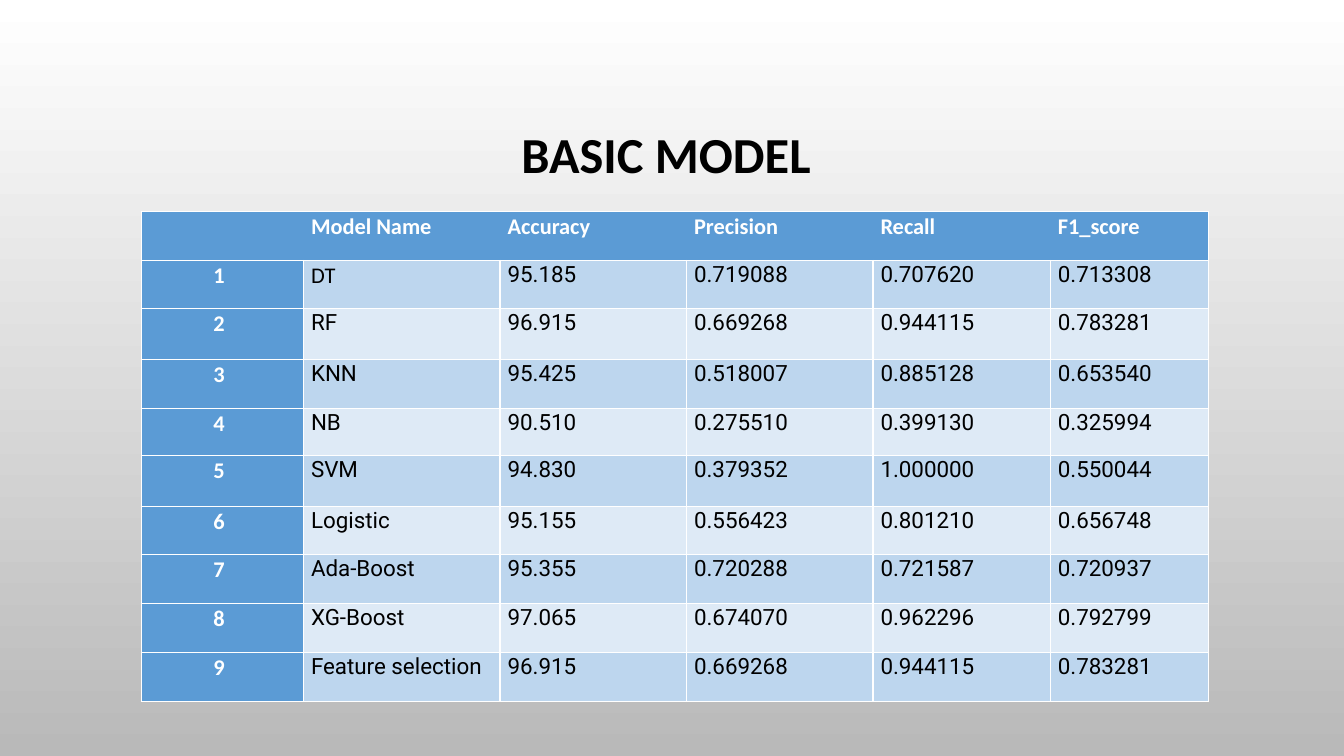
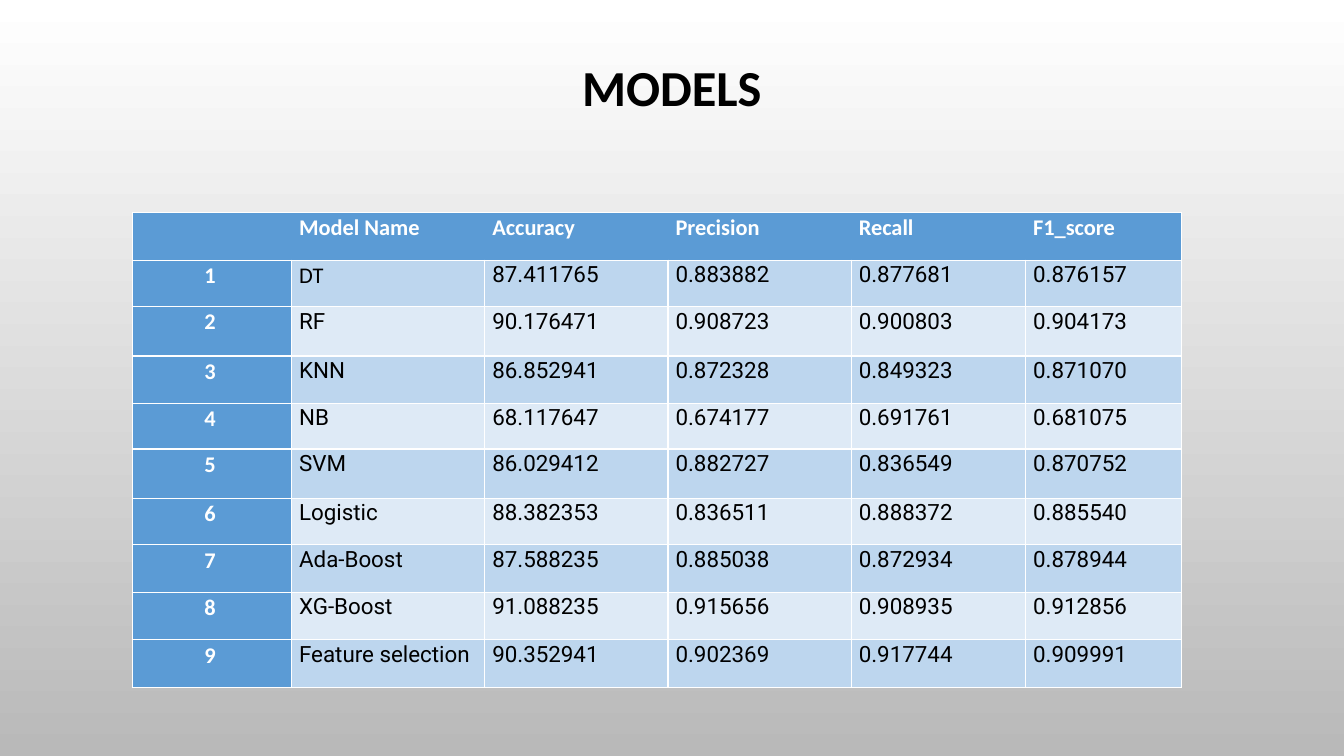
from lxml import etree
from pptx import Presentation
from pptx.dml.color import RGBColor
from pptx.enum import text
from pptx.oxml import ns
from pptx.util import Cm, Pt

WHITE, BLACK, GREY = "FFFFFF", "000000", "B9B9B9"
BLUE, BAND_DARK, BAND_LIGHT = "5B9BD5", "BDD6EE", "DEEAF6"
HEADING_FONT, VALUE_FONT = "Calibri", "Roboto"

COLUMN_SHARES = [161, 195, 185, 185, 176, 157]
ROW_SHARES = [49, 48, 51, 49, 47, 51, 48, 49, 49, 49]
HEADINGS = ["", "Model Name", "Accuracy", "Precision", "Recall", "F1_score"]
MODELS = ["DT", "RF", "KNN", "NB", "SVM", "Logistic", "Ada-Boost", "XG-Boost",
          "Feature selection"]

BASIC_SCORES = [
    ("95.185", "0.719088", "0.707620", "0.713308"),
    ("96.915", "0.669268", "0.944115", "0.783281"),
    ("95.425", "0.518007", "0.885128", "0.653540"),
    ("90.510", "0.275510", "0.399130", "0.325994"),
    ("94.830", "0.379352", "1.000000", "0.550044"),
    ("95.155", "0.556423", "0.801210", "0.656748"),
    ("95.355", "0.720288", "0.721587", "0.720937"),
    ("97.065", "0.674070", "0.962296", "0.792799"),
    ("96.915", "0.669268", "0.944115", "0.783281"),
]
MODEL_SCORES = [
    ("87.411765", "0.883882", "0.877681", "0.876157"),
    ("90.176471", "0.908723", "0.900803", "0.904173"),
    ("86.852941", "0.872328", "0.849323", "0.871070"),
    ("68.117647", "0.674177", "0.691761", "0.681075"),
    ("86.029412", "0.882727", "0.836549", "0.870752"),
    ("88.382353", "0.836511", "0.888372", "0.885540"),
    ("87.588235", "0.885038", "0.872934", "0.878944"),
    ("91.088235", "0.915656", "0.908935", "0.912856"),
    ("90.352941", "0.902369", "0.917744", "0.909991"),
]


def color(hex_code):
    return RGBColor.from_string(hex_code)


def style_runs(paragraph, font_name, size, hex_code, bold):
    for run in paragraph.runs:
        run.font.name = font_name
        run.font.size = Pt(size)
        run.font.color.rgb = color(hex_code)
        run.font.bold = bold


def paint_background(master):
    fill = master.background.fill
    fill.gradient()
    fill.gradient_angle = 270
    for stop, hex_code in zip(fill.gradient_stops, (WHITE, GREY)):
        stop.color.rgb = color(hex_code)


def add_title(slide, wording, box):
    title = slide.shapes.title
    title.left, title.top, title.width, title.height = map(Cm, box)
    frame = title.text_frame
    frame.text = wording
    frame.auto_size = text.MSO_AUTO_SIZE.NONE
    frame.vertical_anchor = text.MSO_ANCHOR.MIDDLE
    heading = frame.paragraphs[0]
    heading.alignment = text.PP_ALIGN.CENTER
    heading.line_spacing = 0.9
    style_runs(heading, HEADING_FONT, 36, BLACK, True)


def set_borders(cell, visible):
    """Draw white lines on the visible sides (letters of LRTB), none elsewhere."""
    properties = cell._tc.get_or_add_tcPr()
    for side in "LRTB":
        line = etree.SubElement(properties, ns.qn(f"a:ln{side}"), w=str(Pt(1)))
        if side in visible:
            solid = etree.SubElement(line, ns.qn("a:solidFill"))
            etree.SubElement(solid, ns.qn("a:srgbClr"), val=WHITE)
        else:
            etree.SubElement(line, ns.qn("a:noFill"))


def fill_cell(cell, wording, row, column):
    is_heading = row == 0 or column == 0
    if row == 0:
        last = len(HEADINGS) - 1
        set_borders(cell, "TB" + {0: "L", last: "R"}.get(column, ""))
    else:
        set_borders(cell, "LRTB")
    cell.fill.solid()
    band = BAND_DARK if row % 2 else BAND_LIGHT
    cell.fill.fore_color.rgb = color(BLUE if is_heading else band)

    cell.margin_left = Cm(1.82 if column == 0 else 0.19)
    cell.margin_right = Cm(0.19)
    cell.margin_top = cell.margin_bottom = 0
    cell.text_frame.text = wording
    paragraph = cell.text_frame.paragraphs[0]
    paragraph.line_spacing = 1.07
    paragraph.space_after = Pt(8)
    font_name = HEADING_FONT if is_heading or wording == "DT" else VALUE_FONT
    style_runs(paragraph, font_name, 16, WHITE if is_heading else BLACK, is_heading)


def share_out(tracks, shares, total):
    """Size columns or rows in proportion to their shares of the total."""
    sizes = [Cm(total * share / sum(shares)) for share in shares]
    for track, size in zip(tracks, sizes):
        if shares is COLUMN_SHARES:
            track.width = size
        else:
            track.height = size


def add_score_table(slide, scores, box):
    rows = [HEADINGS] + [
        [str(number), model, *values]
        for number, (model, values) in enumerate(zip(MODELS, scores), 1)
    ]
    table = slide.shapes.add_table(len(rows), len(HEADINGS), *map(Cm, box)).table
    table.first_col = True
    table.horz_banding = False
    share_out(table.columns, COLUMN_SHARES, box[2])
    share_out(table.rows, ROW_SHARES, box[3])
    for r, row in enumerate(rows):
        for c, wording in enumerate(row):
            fill_cell(table.cell(r, c), wording, r, c)


def add_score_slide(deck, wording, title_box, scores, table_box):
    slide = deck.slides.add_slide(deck.slide_layouts.get_by_name("Title Only"))
    add_title(slide, wording, title_box)
    add_score_table(slide, scores, table_box)


def main():
    deck = Presentation()
    deck.slide_width, deck.slide_height = Cm(33.87), Cm(19.05)
    paint_background(deck.slide_master)
    add_score_slide(deck, "BASIC MODEL ", (2.54, 1.73, 28.78, 4.45),
                    BASIC_SCORES, (3.56, 5.33, 26.9, 12.34))
    add_score_slide(deck, "MODELS", (2.54, 0.86, 28.78, 2.82),
                    MODEL_SCORES, (3.33, 5.36, 26.44, 11.96))
    deck.save("out.pptx")


if __name__ == "__main__":
    main()
